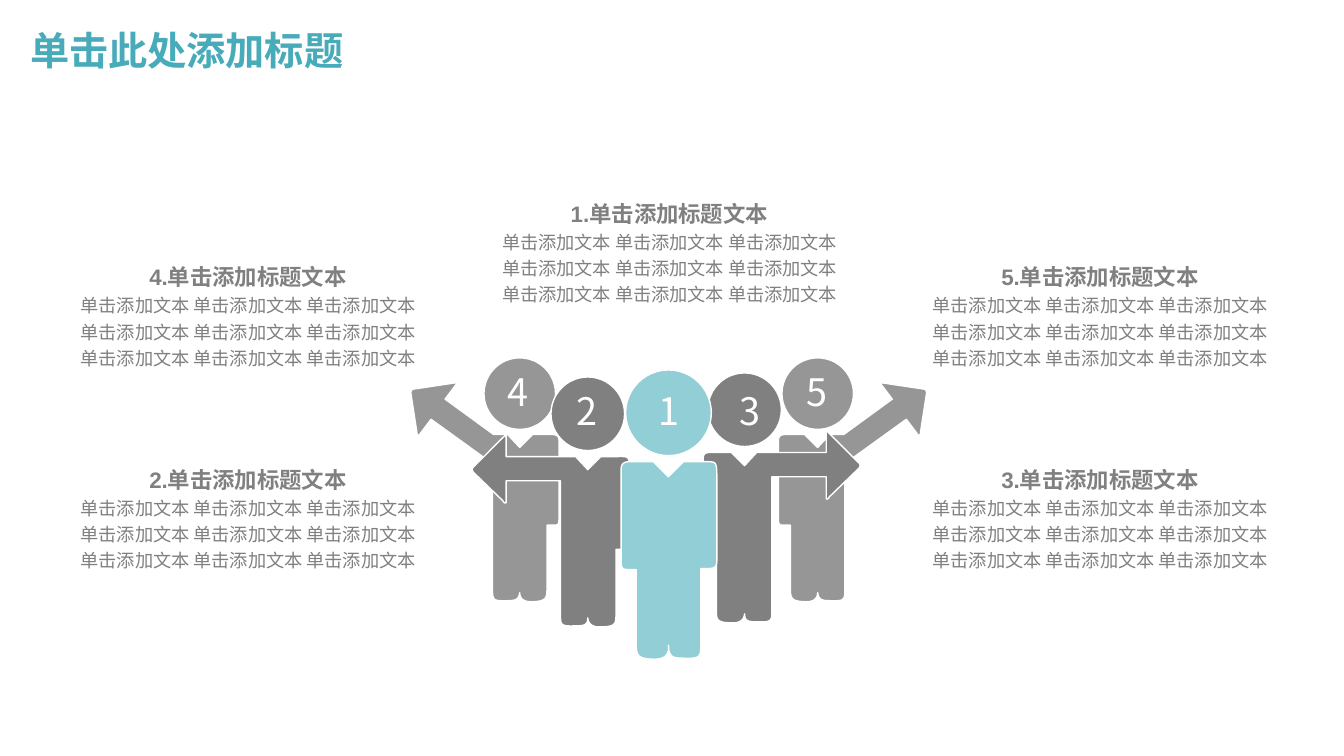
from pptx import Presentation, util as u
from pptx.dml.color import RGBColor
from pptx.enum import shapes, text

# Slide divided into a fine grid of 1333 columns by 750 rows
COLUMNS, ROWS = 1333, 750
CELL = u.Inches(0.01)
TEAL, PALE_TEAL = "47ABB9", "92CED6"
DARK_GREY, LIGHT_GREY, WHITE = "808080", "969696", "FFFFFF"

presentation = Presentation()
presentation.slide_width = COLUMNS * CELL
presentation.slide_height = ROWS * CELL
slide = presentation.slides.add_slide(presentation.slide_layouts[6])


def paint(shape, color):
    shape.shadow.inherit = False
    shape.fill.solid()
    shape.fill.fore_color.rgb = RGBColor.from_string(color)
    shape.line.color.rgb = RGBColor.from_string(WHITE)
    shape.line.width = u.Pt(1)


def add_text(box, lines, font, color, margins, spacing=1.0, align=None, wrap=False):
    """Fill a new text box with lines of (wording, size, bold)."""
    frame = slide.shapes.add_textbox(*[cells * CELL for cells in box]).text_frame
    frame.word_wrap = wrap
    frame.margin_left = frame.margin_right = margins[0] * CELL
    frame.margin_top = frame.margin_bottom = margins[1] * CELL
    for index, (wording, size, bold) in enumerate(lines):
        paragraph = frame.paragraphs[0] if index == 0 else frame.add_paragraph()
        paragraph.alignment = align
        paragraph.line_spacing = spacing
        run = paragraph.add_run()
        run.text = wording
        run.font.name, run.font.size, run.font.bold = font, u.Pt(size), bold
        run.font.color.rgb = RGBColor.from_string(color)
    return frame


# Body outlines, measured from the middle of the shoulders, arm pointing right.
# Two numbers make a straight edge, six make a Bezier curve.
DIAGONAL_ARM = [
    (105, -45), (65, -51), (62, -51), (74, -35), (26, 0), (12, 0), (0, 13),
    (-13, 0), (-27, 0), (-36, 0, -39, 0, -39, 7), (-39, 80),
    (-39, 88, -39, 90, -35, 90), (-27, 90), (-27, 155),
    (-27, 163, -25, 166, -11, 166), (-1, 166, 0, 160, 0, 157),
    (1, 164, 4, 165, 13, 165), (22, 165, 27, 166, 27, 157), (27, 29),
    (88, -15), (100, 1), (102, 0, 102, 0, 102, -2), (108, -41),
    (108, -43, 107, -45, 105, -45),
]
LEVEL_ARM = [
    (113, 10), (84, -19), (83, -20, 82, -21, 81, -21), (81, 0), (12, 0),
    (0, 13), (-13, 0), (-29, 0), (-37, 0, -41, -1, -41, 6), (-41, 82),
    (-41, 89, -41, 92, -37, 92), (-28, 92), (-28, 158),
    (-28, 167, -26, 169, -11, 169), (-2, 169, 0, 163, 0, 160),
    (0, 167, 3, 168, 13, 168), (21, 168, 27, 169, 27, 161), (27, 24),
    (81, 24), (81, 46), (83, 46, 83, 46, 84, 44), (113, 16),
    (115, 14, 115, 11, 113, 10),
]
ARMS_DOWN = [
    (0, 15), (15, 0), (39, 0), (48, 0, 48, 1, 48, 18), (48, 98),
    (48, 107, 44, 106, 32, 106), (32, 186), (32, 196, 26, 195, 16, 195),
    (4, 195, 0, 194, 0, 182), (0, 182, 3, 196, -13, 196),
    (-29, 196, -32, 193, -32, 183), (-32, 107), (-41, 107),
    (-47, 107, -47, 104, -47, 95), (-47, 8), (-47, -1, -41, 0, -32, 0),
    (-15, 0),
]

# People from back to front: outline, axis, shoulder row, arm side,
# head centre above the shoulders, head diameter, colour
PEOPLE = [
    (DIAGONAL_ARM, 811, 431, 1, 40.5, 71, LIGHT_GREY),
    (DIAGONAL_ARM, 515.5, 431, -1, 40.5, 71, LIGHT_GREY),
    (LEVEL_ARM, 583, 453, -1, 42.5, 73, DARK_GREY),
    (LEVEL_ARM, 738.5, 449, 1, 42.5, 73, DARK_GREY),
    (ARMS_DOWN, 663, 458, 1, 48.5, 85, PALE_TEAL),
]
CURVE_STEPS = 8
for outline, axis, shoulder, side, rise, diameter, color in PEOPLE:
    # Head
    corner = ((axis - diameter / 2) * CELL, (shoulder - rise - diameter / 2) * CELL)
    head = slide.shapes.add_shape(
        shapes.MSO_SHAPE.OVAL, int(corner[0]), int(corner[1]), diameter * CELL, diameter * CELL)
    paint(head, color)

    # Body
    points = [outline[0]]
    for edge in outline[1:]:
        if len(edge) == 2:
            points.append(edge)
            continue
        curve = [points[-1], edge[:2], edge[2:4], edge[4:]]
        for step in range(1, CURVE_STEPS + 1):
            t = step / CURVE_STEPS
            weights = ((1 - t) ** 3, 3 * t * (1 - t) ** 2, 3 * t ** 2 * (1 - t), t ** 3)
            points.append(tuple(
                sum(weight * point[i] for weight, point in zip(weights, curve))
                for i in (0, 1)))
    placed = [((axis + side * x) * CELL, (shoulder + y) * CELL) for x, y in points]
    builder = slide.shapes.build_freeform(*placed[0])
    builder.add_line_segments(placed[1:], close=True)
    paint(builder.convert_to_shape(), color)

# Numbers on the heads
for number, left, top in [(1, 653, 385), (2, 572, 385), (4, 503, 366), (5, 800, 366), (3, 733, 385)]:
    add_text((left, top, 22, 45), [(str(number), 27, False)], "Noto Sans CJK SC", WHITE, (0, 0))

# Captions around the group
BODY_LINE = " ".join(["单击添加文本"] * 3)
for number, left, top in [(5, 904, 249), (3, 904, 450), (4, 59, 249), (2, 59, 450), (1, 477, 186)]:
    lines = [(f"{number}.单击添加标题文本", 16, True)] + [(BODY_LINE, 13, False)] * 3
    add_text((left, top, 374, 127), lines, "Arial", DARK_GREY, (13, 7), 1.2, text.PP_ALIGN.CENTER)

# Title
title = add_text((20, 20, 1150, 64), [("单击此处添加标题", 28, True)],
                 "Montserrat", TEAL, (10, 5), 0.9, wrap=True)
title.vertical_anchor = text.MSO_ANCHOR.MIDDLE

presentation.save("out.pptx")
